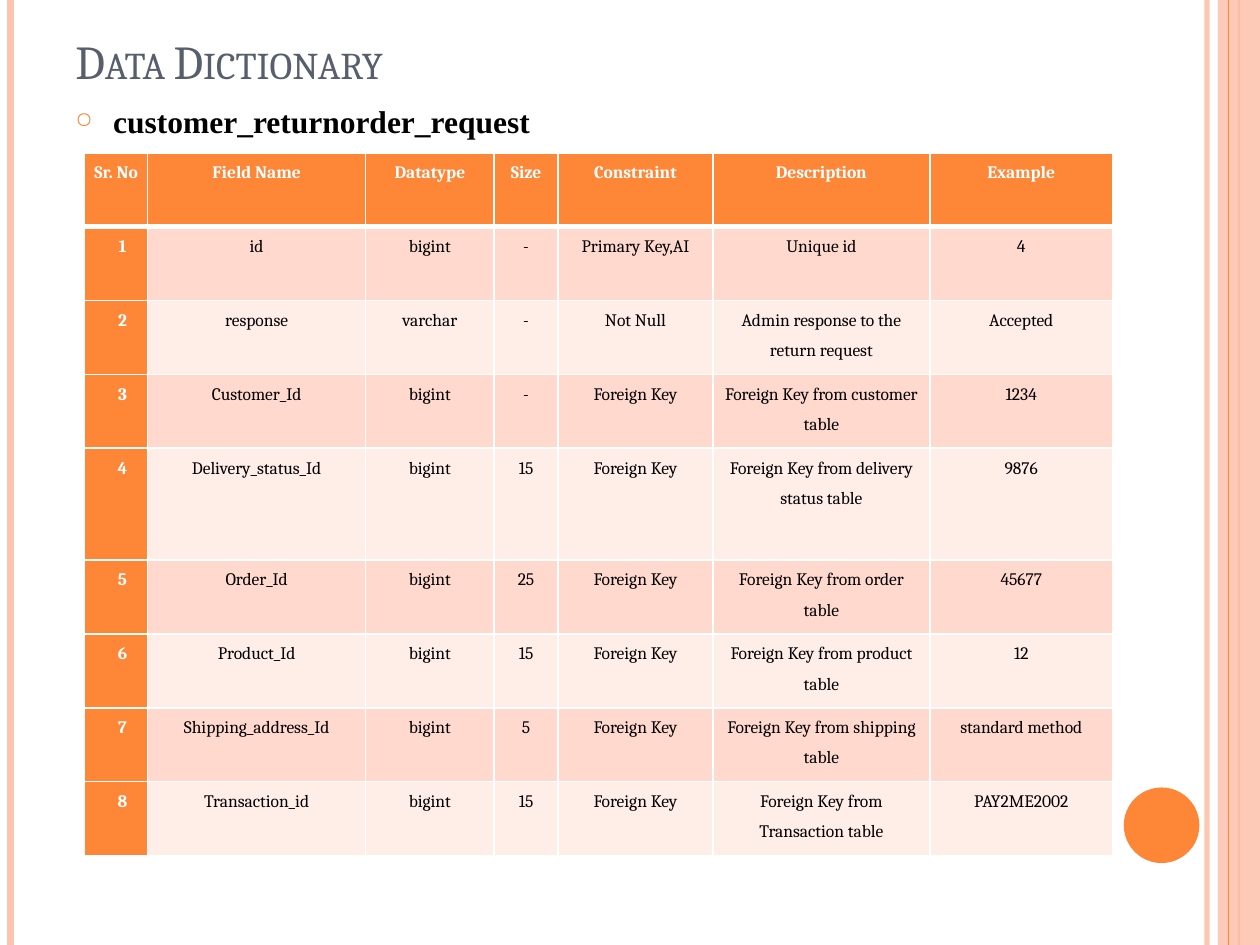
from dataclasses import dataclass

from lxml import etree
from pptx import Presentation
from pptx.dml.color import RGBColor
from pptx.enum.shapes import MSO_CONNECTOR, MSO_SHAPE
from pptx.enum.text import MSO_ANCHOR, PP_ALIGN
from pptx.oxml.ns import qn
from pptx.util import Pt

STRAIGHT = MSO_CONNECTOR.STRAIGHT
RECTANGLE, OVAL = MSO_SHAPE.RECTANGLE, MSO_SHAPE.OVAL
TOP, BOTTOM = MSO_ANCHOR.TOP, MSO_ANCHOR.BOTTOM
LEFT, CENTER = PP_ALIGN.LEFT, PP_ALIGN.CENTER

WIDTH, HEIGHT = 720, 540
ORANGE, PEACH, WHITE, BLACK, SLATE = "FE8637", "FEC3AE", "FFFFFF", "000000", "575F6D"
BANDS = ("FFD9CE", "FFEDE8")
COLUMN_WIDTHS = (36, 124.5, 73.5, 36.5, 88.5, 124, 104.5)
ROW_HEIGHT, TALL_ROW_HEIGHT, TALL_ROW = 42.2, 64, 4
HEADINGS = ("Sr. No", "Field Name", "Datatype", "Size", "Constraint", "Description", "Example")


@dataclass
class Stripe:
    x: float
    weight: float
    color: str
    opacity: int = 100


@dataclass
class Panel:
    kind: int
    left: float
    top: float
    width: float
    height: float
    color: str
    opacity: int = 100


@dataclass
class Field:
    name: str
    datatype: str
    size: str
    constraint: str
    description: str
    example: str

    def values(self, number: int) -> tuple[str, ...]:
        return (str(number), self.name, self.datatype, self.size,
                self.constraint, self.description, self.example)


DECORATIONS = (
    Stripe(689.8, 3, PEACH, 93),
    Stripe(6, 4.5, PEACH),
    Stripe(708, 1.5, ORANGE),
    Panel(RECTANGLE, 696, 0, 24, HEIGHT, PEACH, 87),
    Stripe(702, 0.75, ORANGE),
    Panel(OVAL, 642.2, 450, 43.2, 43.2, ORANGE),
)

FIELDS = (
    Field("id", "bigint", "-", "Primary Key,AI", "Unique id", "4"),
    Field("response", "varchar", "-", "Not Null", "Admin response to the return request", "Accepted"),
    Field("Customer_Id", "bigint", "-", "Foreign Key", "Foreign Key from customer table", "1234"),
    Field("Delivery_status_Id", "bigint", "15", "Foreign Key", "Foreign Key from delivery status table", "9876"),
    Field("Order_Id", "bigint", "25", "Foreign Key", "Foreign Key from order table", "45677"),
    Field("Product_Id", "bigint", "15", "Foreign Key", "Foreign Key from product table", "12"),
    Field("Shipping_address_Id", "bigint", "5", "Foreign Key", "Foreign Key from shipping table", "standard method"),
    Field("Transaction_id", "bigint", "15", "Foreign Key", "Foreign Key from Transaction table", "PAY2ME2002"),
)


def paint(color_format, color: str) -> None:
    color_format.rgb = RGBColor.from_string(color)


def add_element(parent, tag: str, **attributes: str):
    return etree.SubElement(parent, qn(tag), attributes)


def set_opacity(shape, opacity: int) -> None:
    if opacity < 100:
        for color in shape.element.iter(qn("a:srgbClr")):
            add_element(color, "a:alpha", val=str(opacity * 1000))


def draw_stripe(slide, stripe: Stripe) -> None:
    connector = slide.shapes.add_connector(STRAIGHT, Pt(stripe.x), 0, Pt(stripe.x), Pt(HEIGHT))
    connector.line.width = Pt(stripe.weight)
    connector.line.fill.solid()
    paint(connector.line.fill.fore_color, stripe.color)
    set_opacity(connector, stripe.opacity)
    add_element(connector.element.spPr, "a:effectLst")


def draw_panel(slide, panel: Panel) -> None:
    shape = slide.shapes.add_shape(panel.kind, Pt(panel.left), Pt(panel.top), Pt(panel.width), Pt(panel.height))
    shape.shadow.inherit = False
    shape.fill.solid()
    paint(shape.fill.fore_color, panel.color)
    set_opacity(shape, panel.opacity)
    shape.line.fill.background()


def write_text(frame, text: str, *, size: float, color: str, font: str = "Cambria", bold: bool = False,
               align=LEFT, small_caps: bool = False, bullet: str = "", margin: float = 0,
               indent: float = 0, line_spacing: float = 1, space_after: float = 0) -> None:
    paragraph = frame.paragraphs[0]
    paragraph.alignment = align
    paragraph.line_spacing = line_spacing
    paragraph.space_after = Pt(space_after)
    properties = paragraph._p.get_or_add_pPr()
    properties.set("marL", str(Pt(margin)))
    properties.set("indent", str(Pt(indent)))
    if bullet:
        add_element(add_element(properties, "a:buClr"), "a:srgbClr", val=ORANGE)
        add_element(properties, "a:buSzPct", val="70000")
        add_element(properties, "a:buChar", char=bullet)
    run = paragraph.add_run()
    run.text = text
    run.font.name = font
    run.font.size = Pt(size)
    run.font.bold = bold
    paint(run.font.color, color)
    if small_caps:
        run.font._element.set("cap", "small")


def add_text_frame(slide, top: float, height: float, anchor):
    frame = slide.shapes.add_textbox(Pt(36), Pt(top), Pt(588), Pt(height)).text_frame
    frame.word_wrap = True
    frame.vertical_anchor = anchor
    return frame


def set_borders(cell, row: int) -> None:
    properties = cell._tc.get_or_add_tcPr()
    top_weight = 3 if row == 1 else 1
    bottom_weight = 3 if row == 0 else 1
    for tag, weight in (("a:lnL", 1), ("a:lnR", 1), ("a:lnT", top_weight), ("a:lnB", bottom_weight)):
        border = add_element(properties, tag, w=str(Pt(weight)))
        add_element(add_element(border, "a:solidFill"), "a:srgbClr", val=WHITE)


def draw_cell(cell, text: str, row: int, column: int) -> None:
    accented = row == 0 or column == 0
    set_borders(cell, row)
    cell.fill.solid()
    paint(cell.fill.fore_color, ORANGE if accented else BANDS[(row - 1) % 2])
    cell.margin_left = cell.margin_right = Pt(5)
    cell.margin_top = cell.margin_bottom = 0
    write_text(cell.text_frame, text, size=10, color=WHITE if accented else BLACK, bold=accented,
               align=CENTER, margin=7.2 if row and column == 0 else 0, line_spacing=1.5, space_after=10)


def draw_field_table(slide) -> None:
    rows = [HEADINGS] + [field.values(number) for number, field in enumerate(FIELDS, 1)]
    heights = [TALL_ROW_HEIGHT if row == TALL_ROW else ROW_HEIGHT for row in range(len(rows))]
    table = slide.shapes.add_table(len(rows), len(HEADINGS), Pt(48.4), Pt(87.4),
                                   Pt(sum(COLUMN_WIDTHS)), Pt(sum(heights))).table
    table.first_row = table.horz_banding = False
    for column, width in enumerate(COLUMN_WIDTHS):
        table.columns[column].width = Pt(width)
    for row, values in enumerate(rows):
        table.rows[row].height = Pt(heights[row])
        for column, text in enumerate(values):
            draw_cell(table.cell(row, column), text, row, column)


def main() -> None:
    presentation = Presentation()
    presentation.slide_width, presentation.slide_height = Pt(WIDTH), Pt(HEIGHT)
    slide = presentation.slides.add_slide(presentation.slide_layouts[6])
    for decoration in DECORATIONS:
        if isinstance(decoration, Stripe):
            draw_stripe(slide, decoration)
        else:
            draw_panel(slide, decoration)
    write_text(add_text_frame(slide, 21.6, 33, BOTTOM), "Data Dictionary",
               size=27, color=SLATE, small_caps=True)
    write_text(add_text_frame(slide, 54.7, 455, TOP), "customer_returnorder_request",
               size=18, color=BLACK, font="Times New Roman", bold=True,
               bullet="○", margin=21.6, indent=-21.6)
    draw_field_table(slide)
    presentation.save("out.pptx")


if __name__ == "__main__":
    main()
